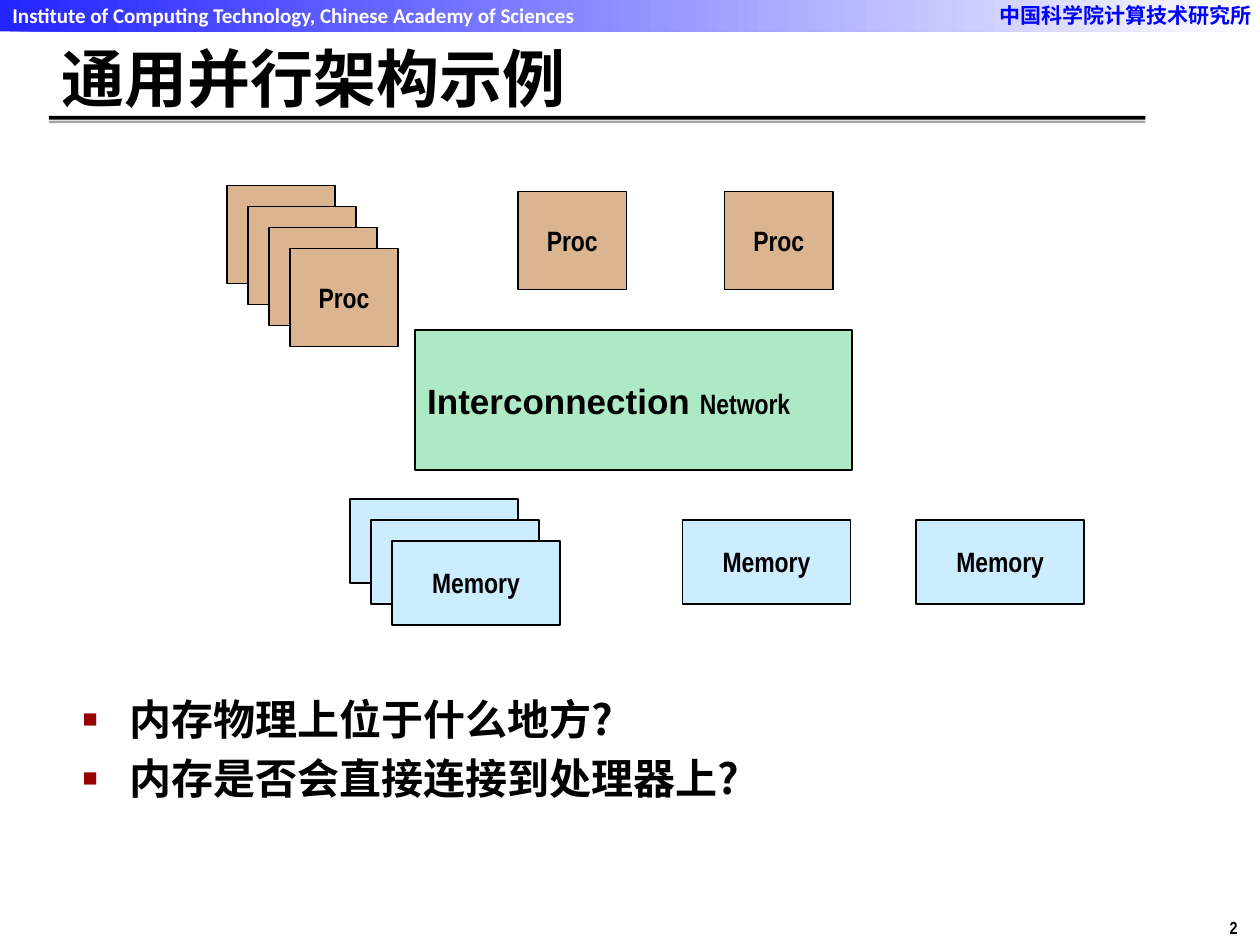
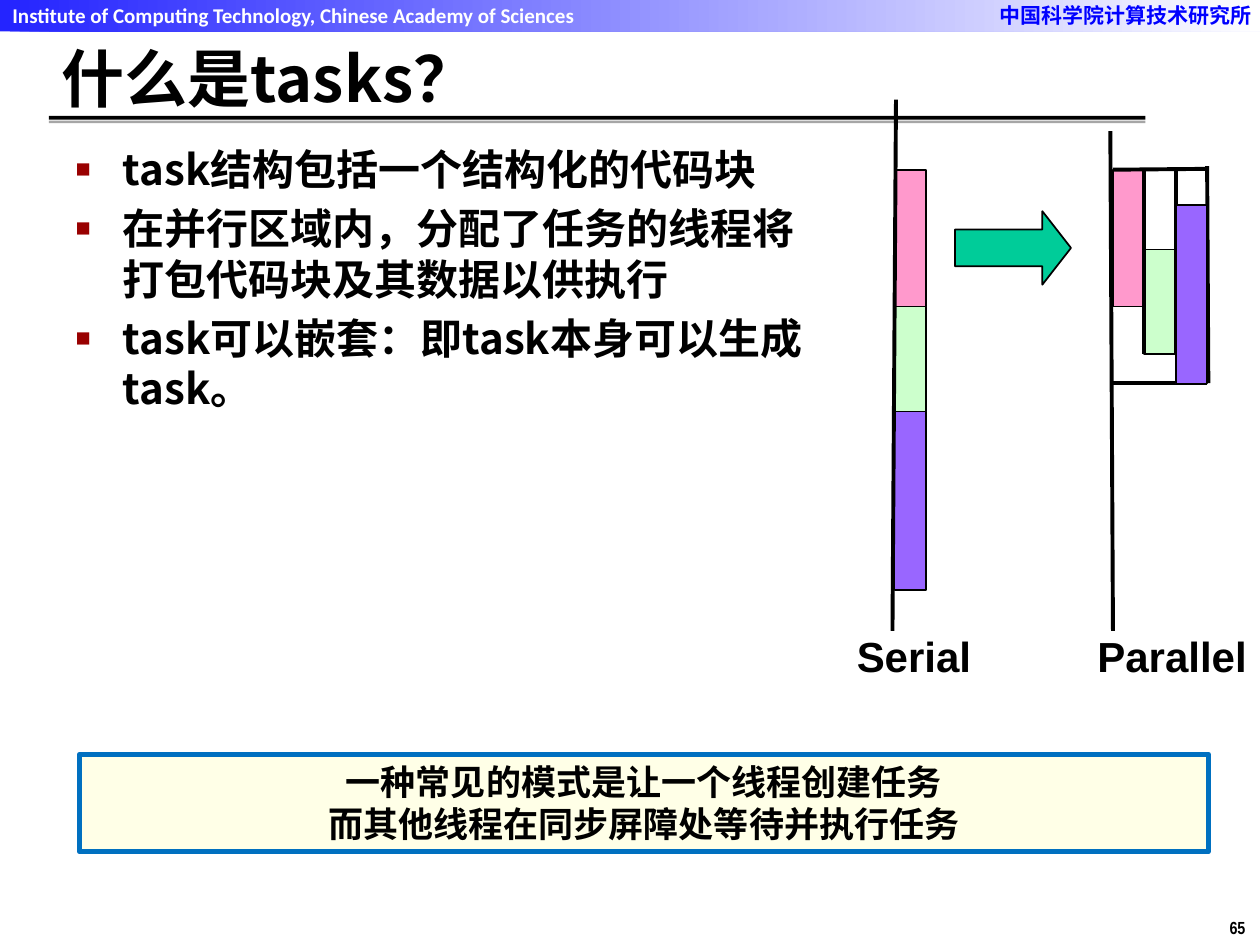
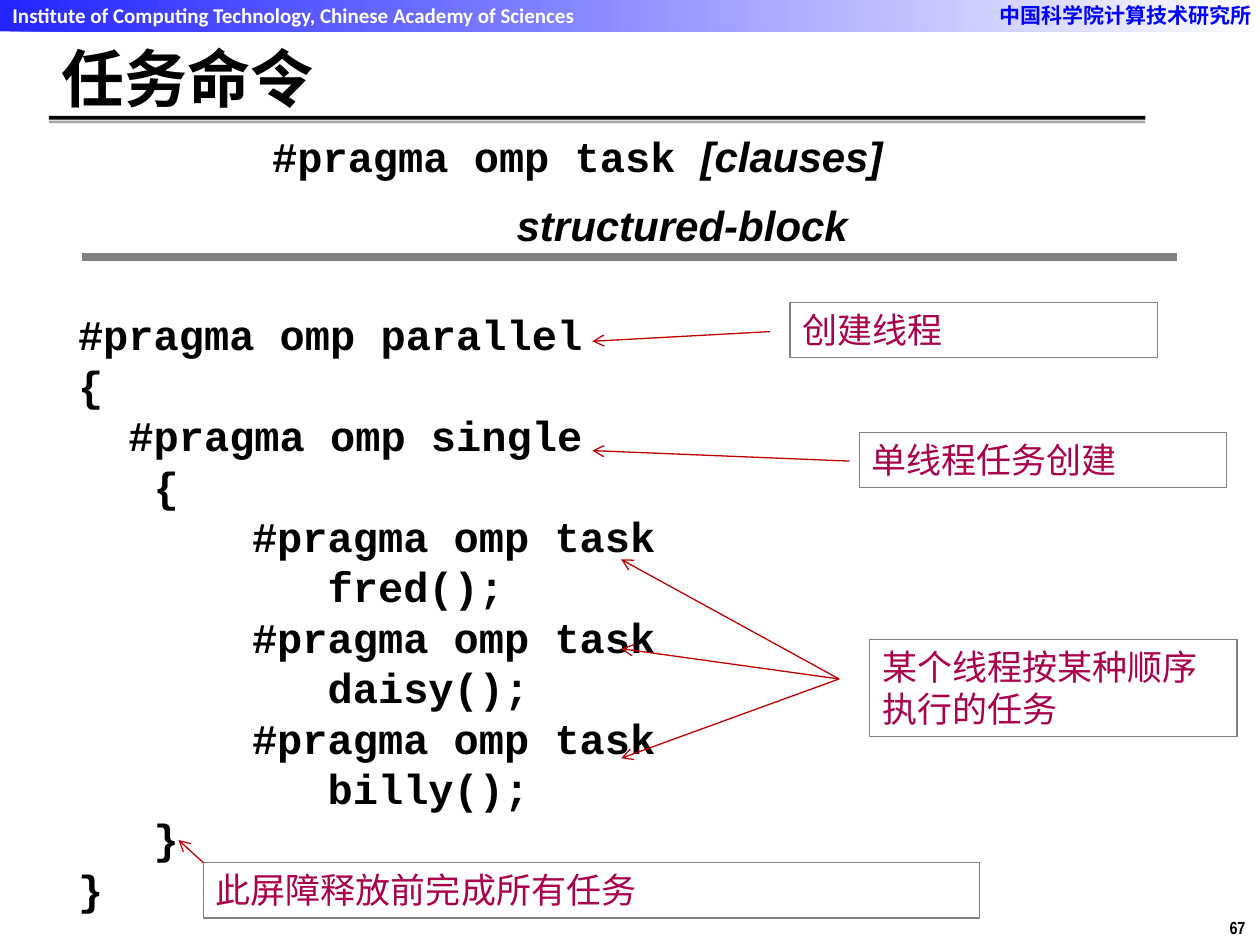
from lxml.etree import SubElement as Sub
from pptx import Presentation
from pptx.dml.color import RGBColor as Rgb
from pptx.enum.shapes import MSO_CONNECTOR as Link, MSO_SHAPE as Kind
from pptx.enum.text import MSO_ANCHOR as Anchor, MSO_AUTO_SIZE as Auto, PP_ALIGN as Align
from pptx.oxml.ns import qn
from pptx.util import Pt

BLACK, WHITE = Rgb(0, 0, 0), Rgb(255, 255, 255)
BLUE = Rgb(0x00, 0x00, 0xFF)
GREY, SHADE = Rgb(0x80, 0x80, 0x80), Rgb(0xA6, 0xA6, 0xA6)
MAROON, RED, WINE = Rgb(0x99, 0, 0), Rgb(0xC0, 0, 0), Rgb(0xAA, 0x01, 0x4C)
TAN, MINT, SKY = Rgb(0xDA, 0xB5, 0x90), Rgb(0xAD, 0xE9, 0xC5), Rgb(0xCC, 0xEC, 0xFF)
PINK, LIME, VIOLET = Rgb(0xFF, 0x99, 0xCC), Rgb(0xCC, 0xFF, 0xCC), Rgb(0x99, 0x66, 0xFF)
TEAL, CREAM, EDGE = Rgb(0, 0xCC, 0x99), Rgb(0xFF, 0xFF, 0xE7), Rgb(0, 0x70, 0xC0)

HAN, SANS, SLIM, MONO = "Noto Sans CJK SC", "Arial", "Arial Narrow", "Courier New"
TITLE = (28, 24, 625, 40)

SCHOOL = "Institute of Computing Technology, Chinese Academy of Sciences"
SCHOOL_HAN = "中国科学院计算技术研究所"

# Parallel architecture
ASKS = ["内存物理上位于什么地方?", "内存是否会直接连接到处理器上?"]
PROC = ("Proc", TAN, 62, 56)
MEMORY = ("Memory", SKY, 96, 48)
STEP = 12
STACKS = [  # unit, left, top, count
    (PROC, 129.6, 106, 4), (PROC, 296, 109.5, 1), (PROC, 414, 109.5, 1),
    (MEMORY, 200, 285, 3), (MEMORY, 390, 297, 1), (MEMORY, 523.5, 297, 1),
]
NETWORK = [[("Interconnection ", dict(size=20, font=SANS)), ("Network", {})]]

# Tasks
FACTS = [
    "task结构包括一个结构化的代码块",
    "在并行区域内，分配了任务的线程将打包代码块及其数据以供执行",
    "task可以嵌套：即task本身可以生成task。",
]
BAR = 18
SERIAL, PARALLEL, START = 511.2, 635.8, 97.2
TASKS = [(PINK, 78, 97.2), (LIME, 60, 142.5), (VIOLET, 102, 117.2)]  # colour, length, parallel top
SERIAL_AXIS = (512, 57, 510, 360.5)
PARALLEL_LINES = [
    (634.5, 75, 636, 360.5), (653.8, 97, 653.8, 202.5), (671.8, 97, 671.8, 203),
    (690, 219, 636, 219), (689, 96.5, 636, 97), (689.8, 95, 690.5, 219),
]
LABELS = [("Serial", 482.5, 80), ("Parallel", 620, 100)]
PATTERN = ["一种常见的模式是让一个线程创建任务", "而其他线程在同步屏障处等待并执行任务"]

# Task directive
DEEP = 99.4
CODE = [  # left indent, line
    (0, "#pragma omp parallel"), (0, "{"), (0, "  #pragma omp single"), (0, "   {"),
    (DEEP, "#pragma omp task"), (DEEP, "   fred();"),
    (DEEP, "#pragma omp task"), (DEEP, "   daisy();"),
    (DEEP, "#pragma omp task"), (DEEP, "   billy();"),
    (0, "   }"), (0, "}"),
]
SYNTAX = [
    [("#pragma omp task ", dict(font=MONO)), ("[clauses]", dict(italic=True))],
    [("structured-block", dict(italic=True))],
]
NOTES = [  # text, place, arrow start, arrow ends
    ("单线程任务创建", (491, 247, 210, 31.7), (485.5, 263.5), [(338.5, 257.5)]),
    ("创建线程", (451.5, 172.7, 210, 31.7), (440, 189.5), [(338.5, 195)]),
    ("某个线程按某种顺序执行的任务", (497, 365.3, 210, 55.7), (479.5, 388),
     [(355, 319.7), (355, 370.7), (355, 433.3)]),
    ("此屏障释放前完成所有任务", (116.2, 493, 443.5, 31.7), (116.2, 493), [(102, 480)]),
]


def bullet(para):
    props = para._p.get_or_add_pPr()
    props.set("marL", str(Pt(27)))
    props.set("indent", str(-Pt(27)))
    Sub(Sub(props, qn("a:buClr")), qn("a:srgbClr"), val=str(MAROON))
    Sub(props, qn("a:buSzPct"), val="60000")
    Sub(props, qn("a:buFont"), typeface=SANS)
    Sub(props, qn("a:buChar"), char="■")


def style(run, size, font, color, bold=True, italic=None):
    face = run.font
    face.size, face.name, face.bold, face.italic = Pt(size), font, bold, italic
    face.color.rgb = color
    Sub(run._r.get_or_add_rPr(), qn("a:ea"), typeface=font)


def write(frame, text, size=24, font=HAN, color=BLACK, bold=True, align=Align.LEFT,
          anchor=Anchor.TOP, wrap=True, pitch=None, gap=0, indents=None, bullets=False):
    """Fill a frame; text is a string or a list of paragraphs, each a string or (text, format) runs."""
    frame.auto_size, frame.word_wrap, frame.vertical_anchor = Auto.NONE, wrap, anchor
    for i, line in enumerate([text] if isinstance(text, str) else text):
        para = frame.add_paragraph() if i else frame.paragraphs[0]
        if bullets:
            bullet(para)
        para.alignment = align
        para.space_before = Pt(gap if i else 0)
        if pitch:
            para.line_spacing = pitch
        if indents and indents[i]:
            para._p.get_or_add_pPr().set("marL", str(Pt(indents[i])))
        for words, extra in [(line, {})] if isinstance(line, str) else line:
            run = para.add_run()
            run.text = words
            style(run, **{**dict(size=size, font=font, color=color, bold=bold), **extra})


def place(shape, at):
    shape.left, shape.top, shape.width, shape.height = map(Pt, at)


def label(slide, at, text, **fmt):
    box = slide.shapes.add_textbox(*map(Pt, at))
    write(box.text_frame, text, **fmt)
    return box


def block(slide, at, fill=None, edge=None, weight=1, kind=Kind.RECTANGLE):
    shape = slide.shapes.add_shape(kind, *map(Pt, at))
    shape.shadow.inherit = False
    if fill is None:
        shape.fill.background()
    else:
        shape.fill.solid()
        shape.fill.fore_color.rgb = fill
    if edge is None:
        shape.line.fill.background()
    else:
        shape.line.color.rgb, shape.line.width = edge, Pt(weight)
    return shape


def rule(slide, ends, color=BLACK, weight=2.25, arrow=False):
    line = slide.shapes.add_connector(Link.STRAIGHT, *map(Pt, ends))
    line.line.color.rgb, line.line.width = color, Pt(weight)
    if arrow:
        Sub(line.line._get_or_add_ln(), qn("a:tailEnd"), type="arrow")
    Sub(line._element.spPr, qn("a:effectLst"))


def band(slide):
    shape = block(slide, (0, 0, 720, 18))
    shape.fill.gradient()
    shape.fill.gradient_angle = 0
    for stop, color, spot in zip(shape.fill.gradient_stops, (BLUE, WHITE), (0, 1)):
        stop.color.rgb, stop.position = color, spot
    for color in shape._element.spPr.iter(qn("a:srgbClr")):
        Sub(color, qn("a:alpha"), val="85000")


def start(deck, layout, title, number):
    """Add a slide with the shared band, rules, page number and title."""
    slide = deck.slides.add_slide(deck.slide_layouts[layout])
    band(slide)
    label(slide, (564, -2, 161, 21.6), SCHOOL_HAN, size=12, color=BLUE, pitch=Pt(14.4))
    label(slide, (695.5, 520.5, 27, 18), str(number), size=10, font=SLIM)
    block(slide, (28, 66.2, 626.5, 2.2), BLACK)
    label(slide, (0, -2, 342, 35), SCHOOL, size=12, font="Calibri", color=WHITE)
    block(slide, (28, 69, 626.5, 1.4), SHADE)
    place(slide.shapes.title, TITLE)
    write(slide.shapes.title.text_frame, title, size=36, anchor=Anchor.MIDDLE)
    return slide


def points(slide, at, lines):
    body = slide.placeholders[1]
    place(body, at)
    write(body.text_frame, lines, pitch=Pt(29), gap=4.8, bullets=True)


def machine(deck):
    slide = start(deck, 1, "通用并行架构示例", 2)
    points(slide, (40, 392.5, 622, 126), ASKS)
    net = block(slide, (237, 188.8, 250, 80), MINT, BLACK)
    write(net.text_frame, NETWORK, size=16, font=SLIM, anchor=Anchor.MIDDLE)
    for (name, color, wide, high), left, top, count in STACKS:
        for i in range(count):
            unit = block(slide, (left + i * STEP, top + i * STEP, wide, high), color, BLACK)
            write(unit.text_frame, name, size=16, font=SLIM, align=Align.CENTER,
                  anchor=Anchor.MIDDLE, wrap=False)


def tasks(deck):
    slide = start(deck, 1, "什么是tasks？", 65)
    points(slide, (36, 78, 449, 420), FACTS)
    top = START
    for color, size, _ in TASKS:
        block(slide, (SERIAL, top, BAR, size), color, BLACK)
        top += size
    rule(slide, SERIAL_AXIS)
    bars = [((PARALLEL + i * BAR, at, BAR, size), color)
            for i, (color, size, at) in enumerate(TASKS)]
    for at, color in bars[:-1]:
        block(slide, at, color, BLACK)
    for ends in PARALLEL_LINES:
        rule(slide, ends)
    at, color = bars[-1]
    block(slide, at, color, BLACK)
    arrow = block(slide, (545.7, 120.7, 66.3, 42), TEAL, BLACK, kind=Kind.RIGHT_ARROW)
    arrow.adjustments[0], arrow.adjustments[1] = 0.5, 0.39
    for name, left, wide in LABELS:
        label(slide, (left, 356.5, wide, 36), name, font=SANS, wrap=False)
    box = block(slide, (45.5, 431, 645, 55.7), CREAM, EDGE, 3)
    write(box.text_frame, PATTERN, size=20, align=Align.CENTER, pitch=Pt(24))


def directive(deck):
    slide = start(deck, 5, "任务命令", 67)
    indents, lines = zip(*CODE)
    label(slide, (37.5, 173, 635, 356), lines, font=MONO, pitch=Pt(28.8), indents=indents)
    for text, at, tail, heads in NOTES:
        note = block(slide, at, None, GREY, 0.75)
        write(note.text_frame, text, size=20, color=WINE, bold=False, pitch=Pt(24))
        for head in heads:
            rule(slide, tail + head, RED, 0.75, arrow=True)
    frame = label(slide, (155.5, 69, 474.5, 127.5), SYNTAX, font=SANS, pitch=1.2, gap=4.8,
                  indents=(0, 139.7)).text_frame
    frame.margin_left = frame.margin_top = frame.margin_right = frame.margin_bottom = 0
    rule(slide, (47, 147, 672.5, 147), GREY, 4.75)


def main():
    deck = Presentation()
    deck.slide_width, deck.slide_height = Pt(720), Pt(540)
    for build in (machine, tasks, directive):
        build(deck)
    deck.save("out.pptx")


if __name__ == "__main__":
    main()
